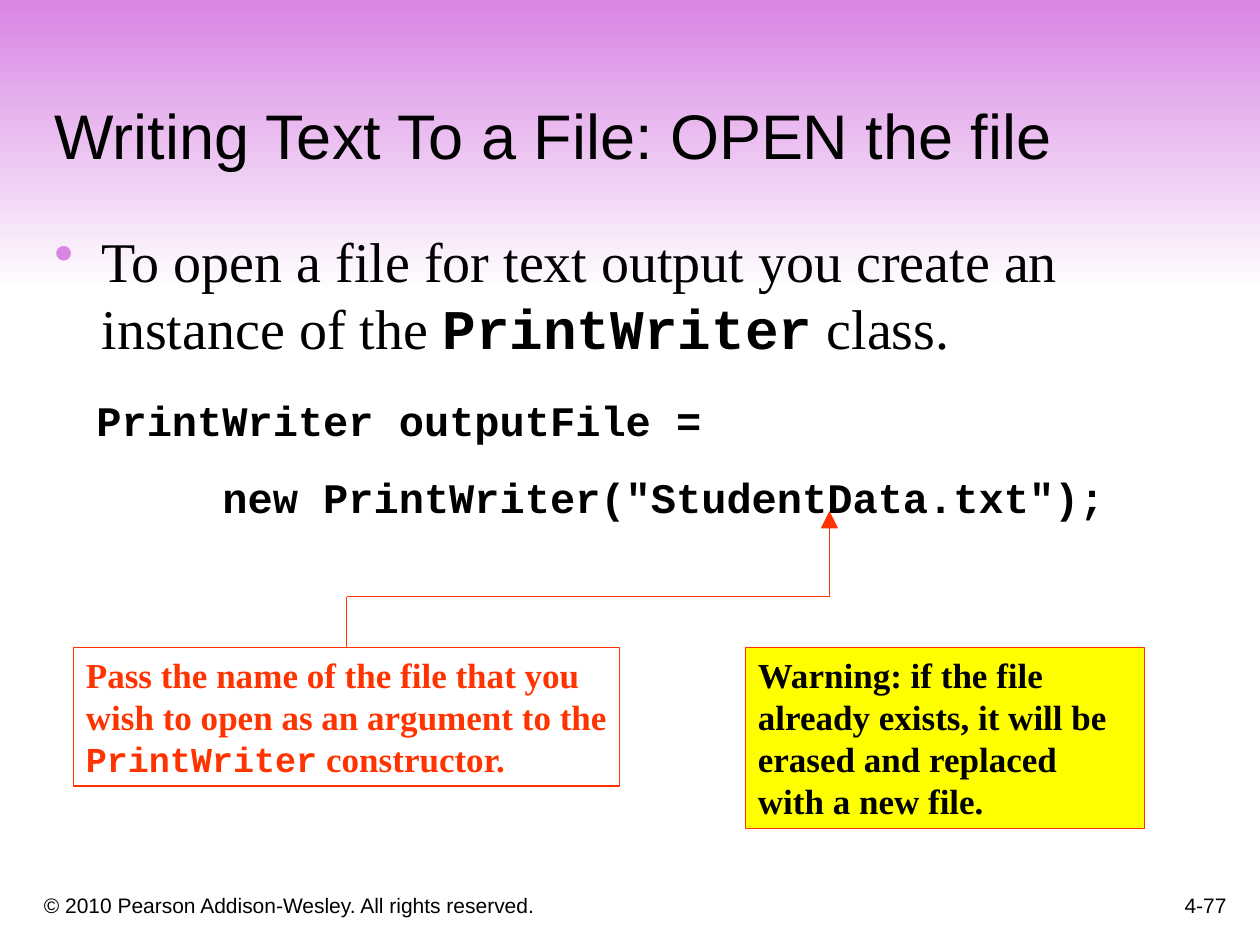
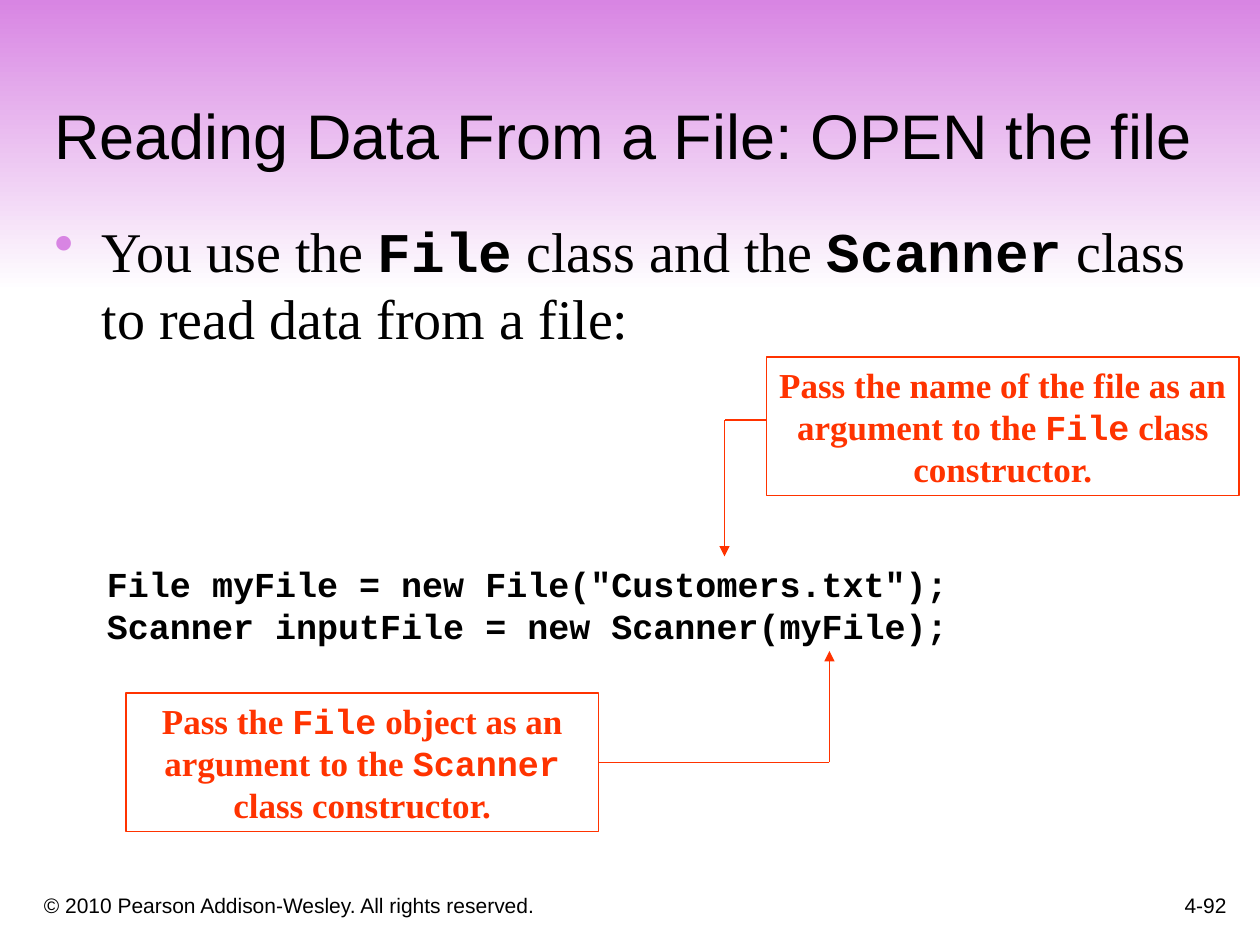
from pptx import Presentation
from pptx.dml.color import RGBColor
from pptx.enum.shapes import MSO_CONNECTOR, MSO_SHAPE
from pptx.enum.text import MSO_ANCHOR, MSO_AUTO_SIZE, PP_ALIGN
from pptx.oxml import parse_xml
from pptx.oxml.ns import nsdecls
from pptx.util import Pt

COLORS = {"violet": "D885E3", "white": "FFFFFF", "text": "000000",
          "accent": "FF3300", "warning": "FFFF00"}
SANS, SERIF, CODE = "Arial", "Times New Roman", "Courier New"
LEFT, TOP, RIGHT = 3, 0, 1  # positions of the last two follow connection sites
LEFT_SITE = 1
RIGHT_SITE = 3
TOP_SITE = 0


def color(name):
    return RGBColor.from_string(COLORS[name])


def add_element(parent, xml):
    """Append a drawing element given without its namespace."""
    tag, rest = xml.split(" ", 1)
    parent.append(parse_xml(f"<a:{tag} {nsdecls('a')} {rest}"))


def write_runs(paragraph, text, font, size, color_name="text", bold=False):
    """Write text in which `backticks` mark bold code."""
    for index, part in enumerate(text.split("`")):
        if not part:
            continue
        is_code = index % 2 == 1
        run = paragraph.add_run()
        run.text = part
        run.font.name = CODE if is_code else font
        run.font.size = Pt(size)
        run.font.bold = bold or is_code
        run.font.color.rgb = color(color_name)


def add_text(slide, bounds, text, font, size, bold=False,
             anchor=MSO_ANCHOR.TOP, align=PP_ALIGN.LEFT):
    """Add a text box with one paragraph and return the box."""
    shape = slide.shapes.add_textbox(*map(Pt, bounds))
    frame = shape.text_frame
    frame.word_wrap = True
    frame.vertical_anchor = anchor
    frame.paragraphs[0].alignment = align
    write_runs(frame.paragraphs[0], text, font, size, bold=bold)
    return shape


def add_bullet(slide, bounds, text):
    shape = add_text(slide, bounds, "", SERIF, 32)
    shape.text_frame.margin_right = 0
    paragraph = shape.text_frame.paragraphs[0]
    properties = paragraph._p.get_or_add_pPr()
    properties.set("marL", str(Pt(27)))
    properties.set("indent", str(-Pt(27)))
    add_element(properties, f'buClr ><a:srgbClr val="{COLORS["violet"]}"/></a:buClr>')
    add_element(properties, 'buChar char="•"/>')
    write_runs(paragraph, text, SERIF, 32)


def add_code(slide, bounds, lines, size, gap=0):
    """Add lines of code; a tab in a line moves it to a one-inch stop."""
    shape = add_text(slide, bounds, lines[0], CODE, size, bold=True)
    for line in lines[1:]:
        paragraph = shape.text_frame.add_paragraph()
        paragraph.space_before = Pt(gap)
        if "\t" in line:
            add_element(paragraph._p.get_or_add_pPr(),
                        f'tabLst ><a:tab pos="{Pt(72)}" algn="l"/></a:tabLst>')
        write_runs(paragraph, line, CODE, size, bold=True)


def add_callout(slide, bounds, text, color_name="accent", fill=None,
                align=PP_ALIGN.LEFT):
    shape = slide.shapes.add_shape(MSO_SHAPE.RECTANGLE, *map(Pt, bounds))
    shape.shadow.inherit = False
    if fill:
        shape.fill.solid()
        shape.fill.fore_color.rgb = color(fill)
    else:
        shape.fill.background()
    shape.line.color.rgb = color("accent")
    shape.line.width = Pt(0.75)
    frame = shape.text_frame
    frame.word_wrap = True
    frame.auto_size = MSO_AUTO_SIZE.SHAPE_TO_FIT_TEXT
    frame.vertical_anchor = MSO_ANCHOR.TOP
    frame.paragraphs[0].alignment = align
    write_runs(frame.paragraphs[0], text, SERIF, 20, color_name, bold=True)
    return shape


def add_route(slide, points, head_size="med", callout=None, site=None):
    """Draw straight lines through the points, with an arrowhead at the end."""
    for start, end in zip(points, points[1:]):
        line = slide.shapes.add_connector(
            MSO_CONNECTOR.STRAIGHT, *map(Pt, start + end))
        line.line.color.rgb = color("accent")
        line.line.width = Pt(0.75)
        add_element(line._element.spPr, "effectLst />")
        if callout is not None and start == points[0]:
            line.begin_connect(callout, site)
    add_element(line.line._get_or_add_ln(),
                f'tailEnd type="triangle" w="{head_size}" len="{head_size}"/>')


def add_base_slide(presentation, title, number):
    """Add a slide with the gradient band, title and footers."""
    slide = presentation.slides.add_slide(presentation.slide_layouts[6])
    band = slide.shapes.add_shape(MSO_SHAPE.RECTANGLE, 0, 0, Pt(720), Pt(167))
    band.shadow.inherit = False
    band.line.fill.background()
    band.fill.gradient()
    band.fill.gradient_angle = 270
    for stop, name in zip(band.fill.gradient_stops, ("violet", "white")):
        stop.color.rgb = color(name)
    add_text(slide, (18, 498, 438, 30),
             "© 2010 Pearson Addison-Wesley. All rights reserved.",
             SANS, 12, anchor=MSO_ANCHOR.BOTTOM)
    add_text(slide, (558, 492, 150, 36), number, SANS, 12,
             anchor=MSO_ANCHOR.BOTTOM, align=PP_ALIGN.RIGHT)
    add_text(slide, (24, 24, 678, 78), title, SANS, 36, anchor=MSO_ANCHOR.BOTTOM)
    return slide


def build_writing_slide(presentation):
    slide = add_base_slide(
        presentation, "Writing Text To a File: OPEN the file", "4-77")
    add_bullet(slide, (24, 126, 653, 360),
               "To open a file for text output you create an instance of the "
               "`PrintWriter` class.")
    add_code(slide, (48, 222, 612, 80),
             ["PrintWriter outputFile =", '\tnew PrintWriter("StudentData.txt");'],
             24, gap=15)
    argument = add_callout(
        slide, (42, 370, 312, 79.2),
        "Pass the name of the file that you wish to open as an argument to the "
        "`PrintWriter` constructor.")
    add_route(slide, [(198, 370), (198, 341), (474, 341), (474, 292)],
              "lg", argument, TOP_SITE)
    add_callout(slide, (426, 370, 228, 103.5),
                "Warning: if the file already exists, it will be erased and "
                "replaced with a new file.", "text", "warning")


def build_reading_slide(presentation):
    slide = add_base_slide(
        presentation, "Reading Data From a File: OPEN the file", "4-92")
    add_bullet(slide, (24, 120, 654, 120),
               "You use the `File` class and the `Scanner` class to read data "
               "from a file:")
    add_code(slide, (54, 318, 516, 55.5),
             ['File myFile = new File("Customers.txt");',
              "Scanner inputFile = new Scanner(myFile);"], 20)
    add_callout(slide, (438, 204, 270, 79.2),
                "Pass the name of the file as an argument to the `File` class "
                "constructor.", align=PP_ALIGN.CENTER)
    scanner = add_callout(
        slide, (72, 396, 270, 79.2),
        "Pass the `File` object as an argument to the `Scanner` class "
        "constructor.", align=PP_ALIGN.CENTER)
    add_route(slide, [(438, 240), (414, 240), (414, 318)])
    add_route(slide, [(342, 435.6), (474, 435.6), (474, 372)],
              callout=scanner, site=RIGHT_SITE)


def main():
    presentation = Presentation()
    presentation.slide_width, presentation.slide_height = Pt(720), Pt(540)
    build_writing_slide(presentation)
    build_reading_slide(presentation)
    presentation.save("out.pptx")


if __name__ == "__main__":
    main()
